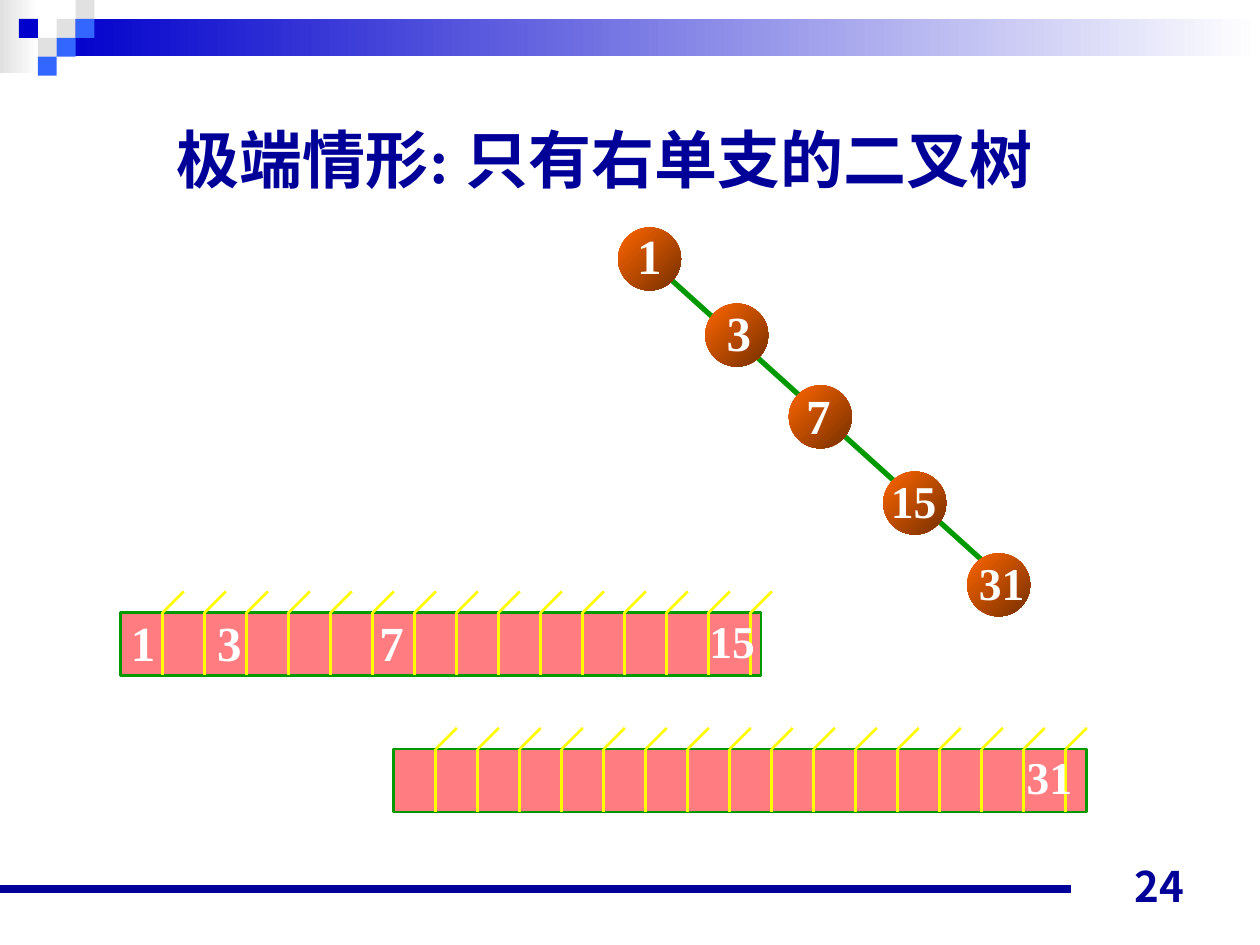
from lxml import etree
from pptx import Presentation
from pptx.dml.color import RGBColor
from pptx.enum import shapes, text
from pptx.oxml import ns
from pptx.util import Pt

NAVY, BLUE, SKY, GREY = "000099", "0000CC", "3366FF", "E1E1E1"
WHITE, GREEN, YELLOW, PINK = "FFFFFF", "009900", "FFFF00", "FF7C80"
ORANGE, BROWN = "FF6600", "752F00"
SERIF, SANS = "Times New Roman", "Noto Sans CJK JP"
LEFT, CENTER, RIGHT = text.PP_ALIGN.LEFT, text.PP_ALIGN.CENTER, text.PP_ALIGN.RIGHT
RECT, OVAL = shapes.MSO_SHAPE.RECTANGLE, shapes.MSO_SHAPE.OVAL
SQUARE, NODE, CELL, ROW_HEIGHT, SLASH = 10.8, 36, 24, 36, 12


def rgb(value):
    return RGBColor.from_string(value)


def add_shape(s, kind, x, y, w, h, fill, line=None, angle=0):
    sp = s.shapes.add_shape(kind, Pt(x), Pt(y), Pt(w), Pt(h))
    sp.shadow.inherit = False
    if isinstance(fill, tuple):
        sp.fill.gradient()
        sp.fill.gradient_angle = angle
        for stop, color in zip(sp.fill.gradient_stops, fill):
            stop.color.rgb = rgb(color)
    else:
        sp.fill.solid()
        sp.fill.fore_color.rgb = rgb(fill)
    if line:
        sp.line.color.rgb = rgb(line)
        sp.line.width = Pt(1.5)
    else:
        sp.line.fill.background()


def add_line(s, x1, y1, x2, y2, color, width):
    line = s.shapes.add_connector(
        shapes.MSO_CONNECTOR.STRAIGHT, Pt(x1), Pt(y1), Pt(x2), Pt(y2))
    line.line.color.rgb = rgb(color)
    line.line.width = Pt(width)
    etree.SubElement(line._element.spPr, ns.qn("a:effectLst"))


def set_text(sp, content, size, color, font=SERIF, align=CENTER,
             anchor=text.MSO_ANCHOR.MIDDLE, wrap=False):
    tf = sp.text_frame
    tf.text = content
    tf.word_wrap = wrap
    tf.auto_size = text.MSO_AUTO_SIZE.NONE
    tf.vertical_anchor = anchor
    p = tf.paragraphs[0]
    p.alignment = align
    r = p.runs[0]
    r.font.size = Pt(size)
    r.font.name = font
    r.font.bold = True
    r.font.color.rgb = rgb(color)


def add_label(s, x, y, w, h, content, size, color, **options):
    box = s.shapes.add_textbox(Pt(x), Pt(y), Pt(w), Pt(h))
    set_text(box, content, size, color, **options)


def add_number(s, x, y, content, align):
    w, h, size = (28, 41, 28) if len(content) == 1 else (40.5, 38.9, 26)
    add_label(s, x, y, w, h, content, size, WHITE, align=align)


def add_header(s):
    add_shape(s, RECT, 0, 0, 22.3, 41.8, (GREY, WHITE))
    add_shape(s, RECT, 32.4, SQUARE, 687.6, 21.3, (BLUE, WHITE))
    squares = [(3, 1, GREY), (4, 0, GREY), (4, 1, SKY), (2, 2, GREY),
               (1, 1, BLUE), (3, 2, SKY), (2, 3, SKY)]
    for column, row, color in squares:
        add_shape(s, RECT, column * SQUARE, row * SQUARE, SQUARE, SQUARE, color)


def add_tree(s):
    add_line(s, 378.7, 155.5, 571, 329, GREEN, 3)
    nodes = [("1", 353.2, 130, 357.1, 125.3), ("3", 403, 173.5, 408.2, 169.2),
             ("7", 450.8, 220.2, 453.6, 216.7), ("15", 504.7, 269.5, 501.8, 266.4),
             ("31", 552.7, 316.2, 552.2, 313.4)]
    for value, x, y, label_x, label_y in nodes:
        add_shape(s, OVAL, x, y, NODE, NODE, (ORANGE, BROWN), angle=315)
        add_number(s, label_x, label_y, value, CENTER)


def add_array(s, x, y, w, labels):
    add_shape(s, RECT, x, y, w, ROW_HEIGHT, PINK, GREEN)
    for i in range(1, int(w // CELL) + 1):
        edge = x + i * CELL
        add_line(s, edge, y, edge, y + ROW_HEIGHT, YELLOW, 1.5)
        add_line(s, edge, y, edge + SLASH, y - SLASH, YELLOW, 1.5)
    for value, label_x in labels:
        add_number(s, label_x, y - 3.8, value, LEFT)


def main():
    prs = Presentation()
    prs.slide_width, prs.slide_height = Pt(720), Pt(540)
    s = prs.slides.add_slide(prs.slide_layouts[5])
    title = s.shapes.title
    title.left, title.top, title.width, title.height = Pt(70), Pt(65.5), Pt(551), Pt(50.4)
    set_text(title, "极端情形: 只有右单支的二叉树", 36, NAVY)
    add_header(s)
    add_line(s, 0, 508, 612, 508, NAVY, 4.5)
    add_tree(s)
    add_array(s, 225, 428, 396, [("31", 579.6)])
    add_array(s, 69, 350, 366,
              [("1", 67.7), ("3", 117), ("7", 209.7), ("15", 398.2)])
    add_label(s, 516.2, 488.2, 167.8, 36, "24", 24, NAVY, font=SANS,
              align=RIGHT, anchor=text.MSO_ANCHOR.BOTTOM, wrap=True)
    prs.save("out.pptx")


if __name__ == "__main__":
    main()
